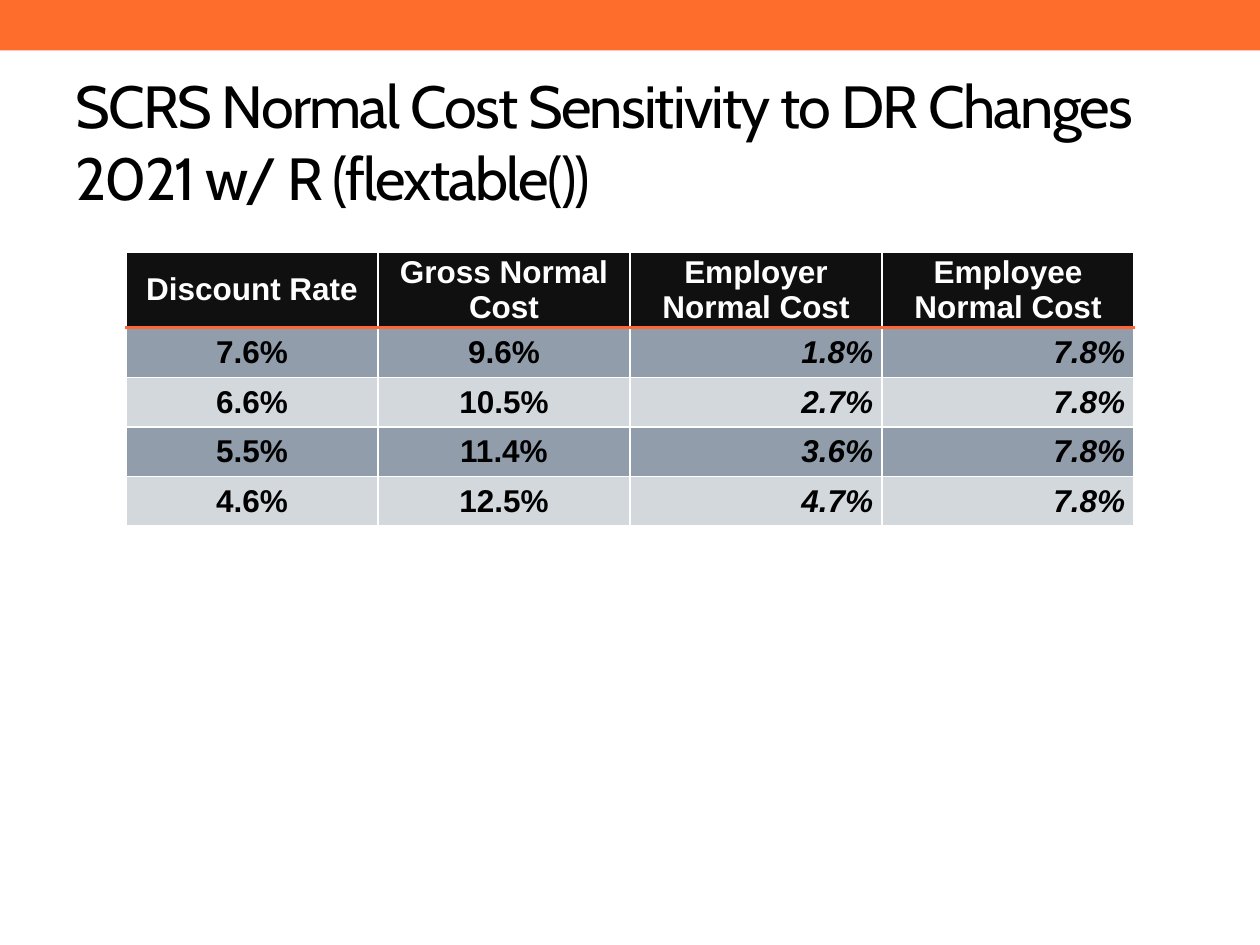
from lxml.etree import SubElement
from pptx import Presentation
from pptx.dml.color import RGBColor
from pptx.enum.shapes import MSO_SHAPE as Shape
from pptx.enum.text import MSO_ANCHOR as Anchor, PP_ALIGN as Align
from pptx.oxml.ns import qn
from pptx.util import Cm, Pt

TITLE = "SCRS Normal Cost Sensitivity to DR Changes 2021 w/ R (flextable())"
HEADERS = ["Discount Rate", "Gross Normal Cost",
           "Employer Normal Cost", "Employee Normal Cost"]
RATES = [
    ["7.6%", "9.6%", "1.8%", "7.8%"],
    ["6.6%", "10.5%", "2.7%", "7.8%"],
    ["5.5%", "11.4%", "3.6%", "7.8%"],
    ["4.6%", "12.5%", "4.7%", "7.8%"],
]
BAND_FILLS = ["919DAA", "D3D8DD"]
WHITE, BLACK, HEADER_FILL, HEADER_RULE = "FFFFFF", "000000", "101010", "FF6633"
HEADER_HEIGHT, ROW_HEIGHT = Cm(1.41), Cm(1)
CELL_INDENT = Cm(0.18)


def color(value):
    return RGBColor.from_string(value)


def add_span(para, text, font, size, ink, bold=False, italic=False):
    span = para.add_run()
    span.text = text
    span.font.name = font
    span.font.size = Pt(size)
    span.font.bold = bold
    span.font.italic = italic
    span.font.color.rgb = color(ink)
    return span


def add_banner(page, left, top, width, height):
    banner = page.shapes.add_shape(Shape.RECTANGLE, left, top, width, height)
    banner.shadow.inherit = False
    banner.fill.solid()
    banner.fill.fore_color.rgb = color("FF6D2C")
    banner.line.fill.background()


def add_title(page, left, top, width, height):
    box = page.shapes.add_textbox(left, top, width, height)
    frame = box.text_frame
    frame.word_wrap = True
    frame.vertical_anchor = Anchor.MIDDLE
    span = add_span(frame.paragraphs[0], TITLE, "Cabin", 34, BLACK)
    # Tighten the letters by one point
    span.font._element.set("spc", "-100")


def set_border(cell, side, ink, points):
    line = SubElement(cell._tc.get_or_add_tcPr(), qn(f"a:ln{side}"), w=str(Pt(points)))
    SubElement(SubElement(line, qn("a:solidFill")), qn("a:srgbClr"), val=ink)


def fill_cell(cell, text, row, column):
    is_header = row == 0
    is_share = not is_header and column >= 2

    # Borders go in before the fill
    for side in "LRTB":
        is_rule = (row, side) in ((0, "B"), (1, "T"))
        set_border(cell, side, *((HEADER_RULE, 2) if is_rule else (WHITE, 1)))
    cell.fill.solid()
    cell.fill.fore_color.rgb = color(
        HEADER_FILL if is_header else BAND_FILLS[(row - 1) % 2])

    # Text
    cell.margin_left = cell.margin_right = cell.margin_top = cell.margin_bottom = 0
    cell.vertical_anchor = Anchor.MIDDLE
    para = cell.text_frame.paragraphs[0]
    para.alignment = Align.RIGHT if is_share else Align.CENTER
    for edge in ("marL", "marR"):
        para._p.get_or_add_pPr().set(edge, str(CELL_INDENT))
    add_span(para, text, "Arial", 18, WHITE if is_header else BLACK,
             bold=True, italic=is_share)


def add_cost_table(page, left, top, width):
    height = HEADER_HEIGHT + ROW_HEIGHT * len(RATES)
    table = page.shapes.add_table(
        len(RATES) + 1, len(HEADERS), left, top, width, height).table
    table.horz_banding = False
    for column in table.columns:
        column.width = width // len(HEADERS)
    for row, texts in enumerate([HEADERS] + RATES):
        table.rows[row].height = ROW_HEIGHT if row else HEADER_HEIGHT
        for column, text in enumerate(texts):
            fill_cell(table.cell(row, column), text, row, column)


def main():
    deck = Presentation()
    deck.slide_width, deck.slide_height = Cm(25.4), Cm(19.05)
    page = deck.slides.add_slide(deck.slide_layouts[6])
    add_banner(page, 0, 0, deck.slide_width, Cm(1.02))
    add_title(page, Cm(1.27), Cm(1.47), Cm(21.84), Cm(2.74))
    add_cost_table(page, Cm(2.54), Cm(5.08), Cm(20.32))
    deck.save("out.pptx")


if __name__ == "__main__":
    main()
